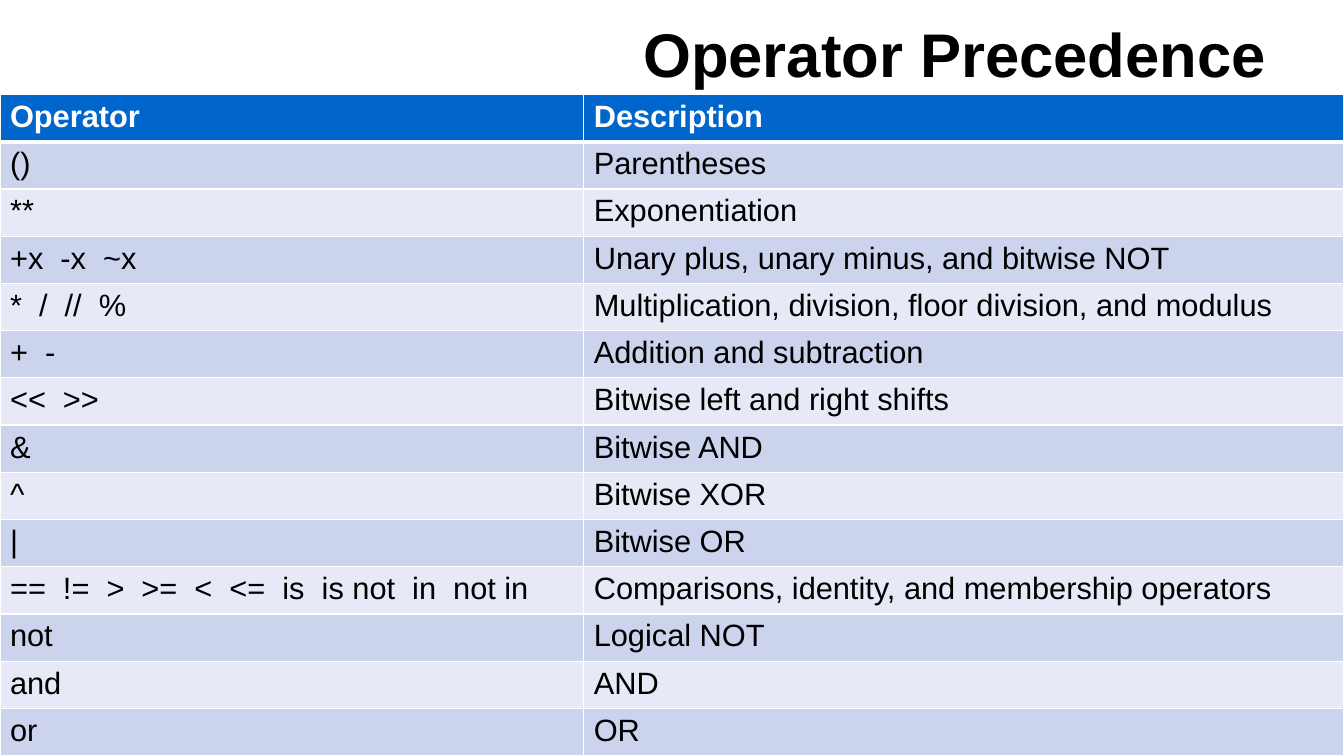
from lxml.etree import SubElement
from pptx import Presentation
from pptx.dml.color import RGBColor
from pptx.enum.text import MSO_ANCHOR, PP_ALIGN
from pptx.oxml.ns import qn
from pptx.util import Pt

PX = 9525
FONT = "Arial"
BLACK, WHITE = "000000", "FFFFFF"
HEADER_FILL = "0066CC"
BANDS = ("E7EAF6", "CCD3EC")
COLUMN_WIDTHS = (556, 724)
ROW_HEIGHT = 45
ROWS = [
    ("Operator", "Description"),
    ("()", "Parentheses"),
    ("**", "Exponentiation"),
    ("+x  -x  ~x", "Unary plus, unary minus, and bitwise NOT"),
    ("*  /  //  %", "Multiplication, division, floor division, and modulus"),
    ("+  -", "Addition and subtraction"),
    ("<<  >>", "Bitwise left and right shifts"),
    ("&", "Bitwise AND"),
    ("^", "Bitwise XOR"),
    ("|", "Bitwise OR"),
    ("==  !=  >  >=  <  <=  is  is not  in  not in",
     "Comparisons, identity, and membership operators"),
    ("not", "Logical NOT"),
    ("and", "AND"),
    ("or", "OR"),
]


def px(*lengths):
    return [n * PX for n in lengths]


def rgb(color):
    return RGBColor.from_string(color)


def write(tf, text, size, color, bold=False, align=PP_ALIGN.LEFT):
    p = tf.paragraphs[0]
    p.text = text
    p.alignment = align
    p.font.name = FONT
    p.font.size = Pt(size)
    p.font.bold = bold
    p.font.color.rgb = rgb(color)


def add_title(s, text):
    tf = s.shapes.add_textbox(*px(64, 20, 1152, 61)).text_frame
    tf.word_wrap = True
    tf.vertical_anchor = MSO_ANCHOR.MIDDLE
    write(tf, text, 44, BLACK, True, PP_ALIGN.RIGHT)


def set_border(cell, side, points):
    tcPr = cell._tc.get_or_add_tcPr()
    ln = SubElement(tcPr, qn(f"a:ln{side}"), w=str(Pt(points)))
    fill = SubElement(ln, qn("a:solidFill"))
    SubElement(fill, qn("a:srgbClr"), val=WHITE)


def style_cell(cell, text, row):
    header = row == 0
    write(cell.text_frame, text, 22, WHITE if header else BLACK, header)
    for side in "LRTB":
        thick = (row, side) in ((0, "B"), (1, "T"))
        set_border(cell, side, 3 if thick else 1)
    cell.fill.solid()
    cell.fill.fore_color.rgb = rgb(HEADER_FILL if header else BANDS[row % 2])


def add_operator_table(s):
    frame = s.shapes.add_table(
        len(ROWS), len(COLUMN_WIDTHS),
        *px(0, 90, sum(COLUMN_WIDTHS), ROW_HEIGHT * len(ROWS)))
    table = frame.table
    for column, width in zip(table.columns, px(*COLUMN_WIDTHS)):
        column.width = width
    for r, texts in enumerate(ROWS):
        for c, text in enumerate(texts):
            style_cell(table.cell(r, c), text, r)


def main():
    prs = Presentation()
    prs.slide_width, prs.slide_height = px(1280, 720)
    s = prs.slides.add_slide(prs.slide_layouts[6])
    add_title(s, "Operator Precedence")
    add_operator_table(s)
    prs.save("out.pptx")


if __name__ == "__main__":
    main()
